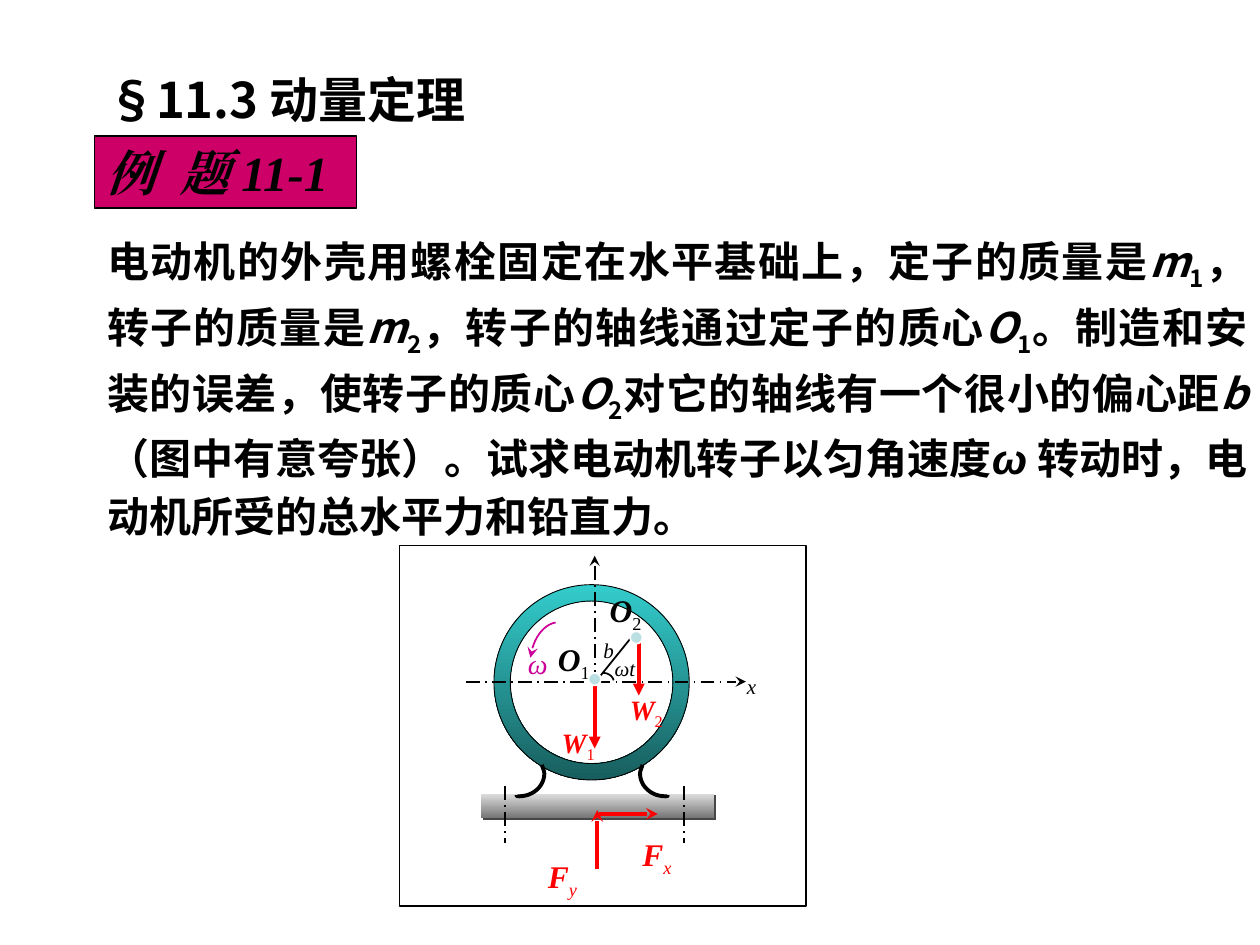
from dataclasses import dataclass
from typing import Optional

from lxml.etree import SubElement
from pptx import Presentation
from pptx.dml.color import RGBColor as RGB
from pptx.enum.dml import MSO_LINE as Dash
from pptx.enum.shapes import MSO_CONNECTOR as Conn, MSO_SHAPE as Shape
from pptx.enum.text import MSO_ANCHOR as Anchor, MSO_AUTO_SIZE as Fit, PP_ALIGN as Align
from pptx.oxml.ns import qn
from pptx.util import Inches, Pt

COLORS = {
    "black": "000000", "white": "FFFFFF", "red": "FF0000", "magenta": "CC0099",
    "banner": "CC0066", "dot": "BBE0E3", "teal": "33CCCC", "dark_teal": "185E5E",
    "light_gray": "DDDDDD", "gray": "777777", "shadow": "474747",
}
SANS, SERIF, GREEK = "Noto Sans CJK SC", "Times New Roman", "Arial"
AXIS_X, AXIS_Y = 4.72, 5.41
RING_X, RING_Y, RING_SIZE, RING_WIDTH = 3.92, 4.64, 1.55, 0.13
RING_MID = RING_X + RING_SIZE / 2


@dataclass
class Run:
    text: str
    italic: bool = False
    bold: bool = True
    sub: bool = False
    font: str = SANS
    spacing: int = 0


@dataclass
class Label:
    x: float
    y: float
    w: float
    h: float
    size: int
    symbol: str
    sub: str = ""
    color: str = "black"
    bold: bool = True


@dataclass
class Line:
    x1: float
    y1: float
    x2: float
    y2: float
    color: str = "black"
    width: float = 1
    dashed: bool = False
    arrow: Optional[str] = None


@dataclass
class Curve:
    points: list
    color: str = "black"
    width: float = 1
    arrow: Optional[str] = None


def rgb(name: str) -> RGB:
    return RGB.from_string(COLORS[name])


def add_runs(p, runs: list, size: int, color: str = "black") -> None:
    for run in runs:
        r = p.add_run()
        r.text = run.text
        f = r.font
        f.size, f.bold, f.italic, f.name = Pt(size), run.bold, run.italic, run.font
        f.color.rgb = rgb(color)
        props = r._r.get_or_add_rPr()
        SubElement(props, qn("a:ea"), typeface=run.font)
        if run.sub:
            props.set("baseline", "-25000")
        if run.spacing:
            props.set("spc", str(run.spacing))


def place(s, x: float, y: float, w: float, h: float) -> None:
    s.left, s.top, s.width, s.height = Inches(x), Inches(y), Inches(w), Inches(h)


def set_frame(s, wrap: bool):
    tf = s.text_frame
    tf.word_wrap, tf.auto_size, tf.vertical_anchor = wrap, Fit.NONE, Anchor.TOP
    p = tf.paragraphs[0]
    p.alignment, p.space_before = Align.LEFT, Pt(0)
    return p


def style_line(s, color: str, width: float, arrow: Optional[str] = None) -> None:
    s.line.color.rgb = rgb(color)
    s.line.width = Pt(width)
    if arrow:
        SubElement(s.line._get_or_add_ln(), qn("a:tailEnd"), type=arrow)


def add_shape(slide, kind, box: tuple, fill: tuple, line: Optional[str] = None, width: float = 1):
    s = slide.shapes.add_shape(kind, *map(Inches, box))
    s.shadow.inherit = False
    if len(fill) == 1:
        s.fill.solid()
        s.fill.fore_color.rgb = rgb(fill[0])
    else:
        s.fill.gradient()
        s.fill.gradient_angle = 270
        for stop, name in zip(s.fill.gradient_stops, fill):
            stop.color.rgb = rgb(name)
    if line:
        style_line(s, line, width)
    else:
        s.line.fill.background()
    return s


def add_line(slide, ln: Line) -> None:
    s = slide.shapes.add_connector(Conn.STRAIGHT, *map(Inches, (ln.x1, ln.y1, ln.x2, ln.y2)))
    SubElement(s._element.spPr, qn("a:effectLst"))
    s.line.color.rgb = rgb(ln.color)
    if ln.dashed:
        s.line.dash_style = Dash.LONG_DASH_DOT
    style_line(s, ln.color, ln.width, ln.arrow)


def bezier(points: list, t: float) -> tuple:
    weights = ((1 - t) ** 3, 3 * t * (1 - t) ** 2, 3 * t * t * (1 - t), t ** 3)
    return tuple(Inches(sum(w * pt[i] for w, pt in zip(weights, points))) for i in (0, 1))


def add_curve(slide, curve: Curve, steps: int = 12) -> None:
    dots = [bezier(curve.points[i:i + 4], k / steps)
            for i in range(0, len(curve.points) - 1, 3) for k in range(steps + 1)]
    builder = slide.shapes.build_freeform(*dots[0], scale=1.0)
    builder.add_line_segments(dots[1:], close=False)
    s = builder.convert_to_shape()
    s.shadow.inherit = False
    s.fill.background()
    style_line(s, curve.color, curve.width, curve.arrow)


def add_label(slide, lb: Label) -> None:
    s = slide.shapes.add_textbox(*map(Inches, (lb.x, lb.y, lb.w, lb.h)))
    runs = [Run(lb.symbol, True, lb.bold, font=SERIF)]
    if lb.sub:
        runs.append(Run(lb.sub, lb.sub.isalpha(), False, True, SERIF))
    add_runs(set_frame(s, False), runs, lb.size, lb.color)


LEG = [(4.3, 6.07), (4.31, 6.1), (4.32, 6.12), (4.32, 6.14), (4.32, 6.24),
       (4.23, 6.32), (4.12, 6.32), (4.11, 6.32), (4.1, 6.32), (4.1, 6.31)]
CURVES = [
    Curve(LEG, width=2.25),
    Curve([(2 * RING_MID + 0.01 - x, y) for x, y in LEG], width=2.25),
    Curve([(4.41, 4.94), (4.31, 4.96), (4.23, 5.07), (4.21, 5.22)], "magenta", arrow="stealth"),
    Curve([(4.78, 5.34), (4.82, 5.34), (4.86, 5.36), (4.87, 5.4)]),
]
LINES = [
    Line(3.7, AXIS_Y, 5.92, AXIS_Y, dashed=True, arrow="stealth"),
    Line(AXIS_X, 5.43, AXIS_X, 4.41, dashed=True, arrow="stealth"),
    Line(AXIS_X, 5.42, 5.05, 5.01),
    Line(AXIS_X, AXIS_Y, AXIS_X, 5.94, "red", 2.25, arrow="triangle"),
    Line(5.07, 5.05, 5.07, 5.52, "red", 2.25, arrow="triangle"),
    Line(4.01, 6.24, 4.01, 6.69, dashed=True),
    Line(5.43, 6.24, 5.43, 6.69, dashed=True),
    Line(4.74, 6.9, 4.74, 6.43, "red", 2.25, arrow="stealth"),
    Line(4.75, 6.46, 5.22, 6.46, "red", 2.25, arrow="stealth"),
]
LABELS = [
    Label(4.69, 5.01, 0.28, 0.3, 12, "b", bold=False),
    Label(4.78, 5.15, 0.36, 0.3, 12, "ωt", bold=False),
    Label(4.36, 5.71, 0.46, 0.41, 16, "W", "1", "red"),
    Label(4.9, 5.45, 0.46, 0.41, 16, "W", "2", "red"),
    Label(4.33, 5.03, 0.45, 0.44, 18, "O", "1"),
    Label(4.74, 4.64, 0.47, 0.44, 18, "O", "2"),
    Label(4.09, 5.08, 0.35, 0.37, 16, "ω", color="magenta", bold=False),
    Label(5.83, 5.3, 0.32, 0.3, 12, "x", bold=False),
    Label(5, 6.58, 0.46, 0.44, 18, "F", "x", "red"),
    Label(4.25, 6.75, 0.46, 0.44, 18, "F", "y", "red"),
]
PROBLEM = [
    Run("电动机的外壳用螺栓固定在水平基础上，定子的质量是"), Run("m", True), Run("1", sub=True),
    Run("，转子的质量是"), Run("m", True), Run("2", sub=True),
    Run("，转子的轴线通过定子的质心"), Run("O", True), Run("1", sub=True),
    Run("。制造和安装的误差，使转子的质心"), Run("O", True), Run("2", sub=True),
    Run("对它的轴线有一个很小的偏心距"), Run("b", True),
    Run("（图中有意夸张）。试求电动机转子以匀角速度"), Run("ω", True, font=GREEK),
    Run(" 转动时，电动机所受的总水平力和铅直力。"),
]
EXAMPLE = [Run("例", True, font=SERIF), Run(" ", True, font=SERIF, spacing=700),
           Run("题 11-1", True, font=SERIF)]


def main() -> None:
    prs = Presentation()
    prs.slide_width, prs.slide_height = Inches(10), Inches(7.5)
    slide = prs.slides.add_slide(prs.slide_layouts[1])
    title, body = slide.placeholders
    place(title, 0.75, 0.5, 3.41, 0.57)
    add_runs(set_frame(title, False), [Run("§11.3 动量定理")], 28)
    place(body, 0.75, 1.75, 9.25, 2.59)
    p = set_frame(body, True)
    p.alignment, p.line_spacing = Align.JUSTIFY, 1.15
    props = p._p.get_or_add_pPr()
    props.set("marL", "0")
    props.set("indent", "0")
    SubElement(props, qn("a:buNone"))
    add_runs(p, PROBLEM, 24)

    banner = add_shape(slide, Shape.RECTANGLE, (0.75, 1.08, 2.08, 0.57), ("banner",), "black")
    add_runs(set_frame(banner, True), EXAMPLE, 28)

    add_shape(slide, Shape.RECTANGLE, (3.17, 4.33, 3.23, 2.86), ("white",), "black")
    ring = add_shape(slide, Shape.DONUT, (RING_X, RING_Y, RING_SIZE, RING_SIZE),
                     ("teal", "dark_teal"), "black", 0.5)
    ring.adjustments[0] = RING_WIDTH / RING_SIZE
    base = add_shape(slide, Shape.RECTANGLE, (3.82, 6.3, 1.85, 0.19), ("light_gray", "gray"))
    effects = base._element.spPr.find(qn("a:effectLst"))
    shadow = SubElement(effects, qn("a:outerShdw"), dist=str(Pt(1.4)), dir="2700000")
    SubElement(shadow, qn("a:srgbClr"), val=COLORS["shadow"])
    for curve in CURVES:
        add_curve(slide, curve)
    for line in LINES:
        add_line(slide, line)
    for label in LABELS:
        add_label(slide, label)
    for x, y in ((4.67, 5.34), (5, 5.01)):
        add_shape(slide, Shape.OVAL, (x, y, 0.1, 0.1), ("dot",), "white")
    prs.save("out.pptx")


if __name__ == "__main__":
    main()
